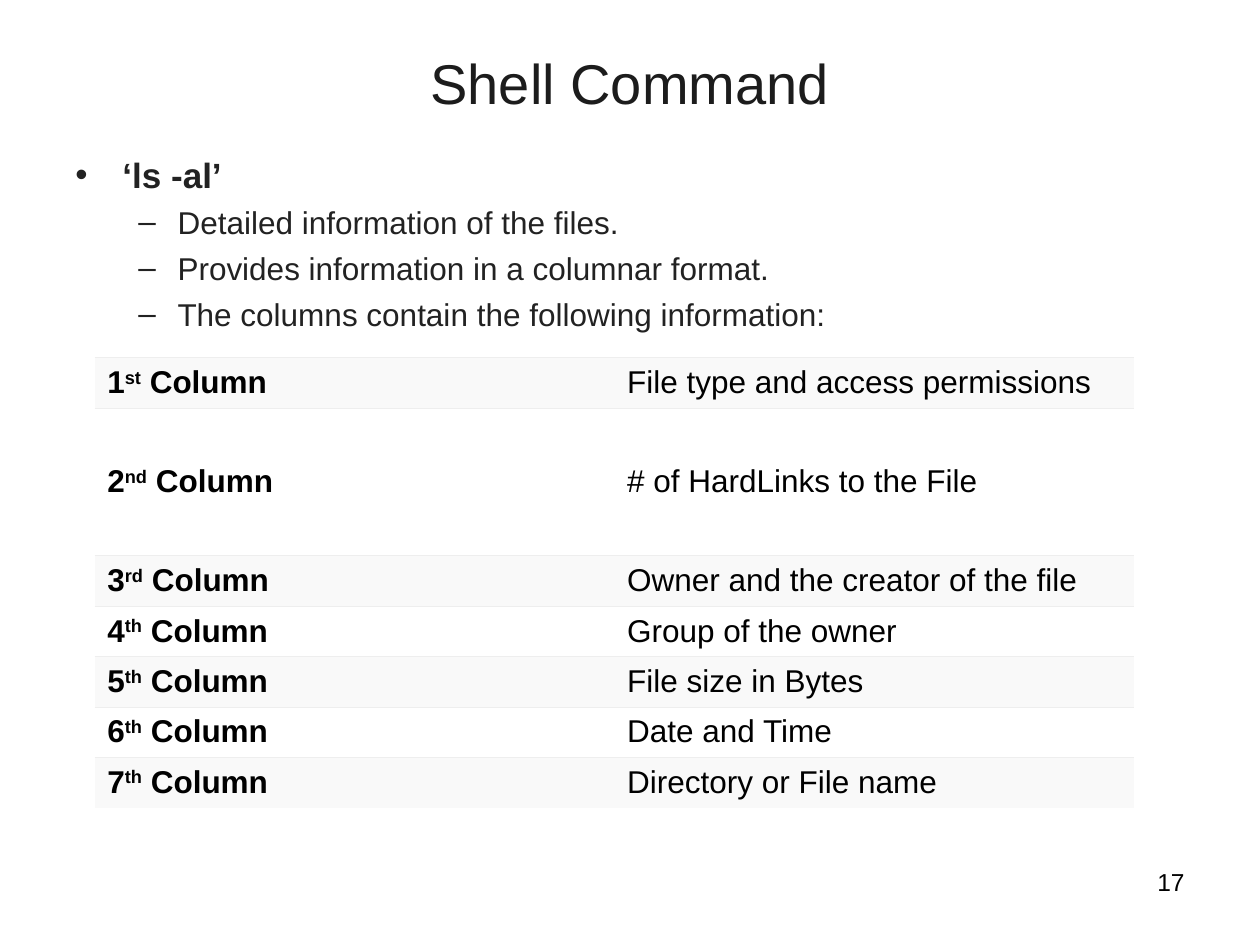
from dataclasses import dataclass

from lxml.etree import SubElement
from pptx import Presentation
from pptx.dml.color import RGBColor
from pptx.enum.text import MSO_ANCHOR, PP_ALIGN
from pptx.oxml.ns import qn
from pptx.util import Cm, Pt

FONT = "Arial"
BLACK = "000000"
BODY_COLOR = "222222"
STRIPES = ("F9F9F9", "FFFFFF")
RULE_COLOR = "EEEEEE"


@dataclass
class Bullet:
    text: str
    level: int
    mark: str
    size: float
    left: float
    hanging: float
    space_before: float
    bold: bool = False


@dataclass
class ColumnInfo:
    ordinal: str
    meaning: str
    height: float = 1.01


BULLETS = [
    Bullet("‘ls -al’ ", 0, "•", 20, 0.95, 0.95, 0, bold=True),
    *(
        Bullet(text, 1, "–", 18, 2.06, 0.79, 4.5)
        for text in (
            "Detailed information of the files.",
            "Provides information in a columnar format.",
            "The columns contain the following information:",
        )
    ),
]

COLUMNS = [
    ColumnInfo("st", "File type and access permissions"),
    ColumnInfo("nd", "# of HardLinks to the File", height=2.97),
    ColumnInfo("rd", "Owner and the creator of the file"),
    ColumnInfo("th", "Group of the owner"),
    ColumnInfo("th", "File size in Bytes"),
    ColumnInfo("th", "Date and Time"),
    ColumnInfo("th", "Directory or File name"),
]


def rgb(color: str) -> RGBColor:
    return RGBColor.from_string(color)


def style_run(run, size: float, color: str, bold: bool = False) -> None:
    run.font.name = FONT
    run.font.size = Pt(size)
    run.font.bold = bold
    run.font.color.rgb = rgb(color)


def add_title(slide, text: str) -> None:
    title = slide.shapes.title
    title.left, title.top = Cm(1.27), Cm(0.76)
    title.width, title.height = Cm(22.86), Cm(1.78)
    frame = title.text_frame
    frame.text = text
    frame.vertical_anchor = MSO_ANCHOR.MIDDLE
    frame.paragraphs[0].alignment = PP_ALIGN.CENTER
    style_run(frame.paragraphs[0].runs[0], 32, "1C1C1C")


def format_bullet(paragraph, bullet: Bullet) -> None:
    paragraph.text = bullet.text
    paragraph.level = bullet.level
    paragraph.space_before = Pt(bullet.space_before)
    style_run(paragraph.runs[0], bullet.size, BODY_COLOR, bullet.bold)
    properties = paragraph._p.get_or_add_pPr()
    properties.set("marL", str(Cm(bullet.left)))
    properties.set("indent", str(-Cm(bullet.hanging)))
    mark_color = SubElement(properties, qn("a:buClr"))
    SubElement(mark_color, qn("a:srgbClr"), val=BODY_COLOR)
    SubElement(properties, qn("a:buFont"), typeface=FONT)
    SubElement(properties, qn("a:buChar"), char=bullet.mark)


def add_bullets(slide, bullets: list[Bullet]) -> None:
    body = slide.shapes.add_textbox(Cm(1.27), Cm(2.97), Cm(22.86), Cm(14.05))
    frame = body.text_frame
    frame.word_wrap = True
    frame.margin_top = Cm(0.12)
    for index, bullet in enumerate(bullets):
        paragraph = frame.add_paragraph() if index else frame.paragraphs[0]
        format_bullet(paragraph, bullet)


def set_borders(cell, ruled_sides: str) -> None:
    """Rule the sides named by letter (L, R, T, B) and clear the others."""
    properties = cell._tc.get_or_add_tcPr()
    for side in "LRTB":
        line = SubElement(properties, qn(f"a:ln{side}"), w=str(Pt(0.23)))
        if side in ruled_sides:
            fill = SubElement(line, qn("a:solidFill"))
            SubElement(fill, qn("a:srgbClr"), val=RULE_COLOR)
        else:
            SubElement(line, qn("a:noFill"))


def fill_cell(cell, parts: list[str], color: str, ruled_sides: str, bold: bool) -> None:
    """Write the parts as runs, raising every second one as a superscript."""
    set_borders(cell, ruled_sides)
    cell.fill.solid()
    cell.fill.fore_color.rgb = rgb(color)
    cell.vertical_anchor = MSO_ANCHOR.MIDDLE
    for index, part in enumerate(parts):
        run = cell.text_frame.paragraphs[0].add_run()
        run.text = part
        style_run(run, 18, BLACK, bold)
        if index % 2:
            run._r.get_or_add_rPr().set("baseline", "30000")


def add_column_table(slide, columns: list[ColumnInfo]) -> None:
    height = sum(column.height for column in columns)
    table = slide.shapes.add_table(
        len(columns), 2, Cm(1.91), Cm(7.21), Cm(20.96), Cm(height)
    ).table
    table.first_row = table.horz_banding = False
    for index, column in enumerate(columns):
        table.rows[index].height = Cm(column.height)
        color = STRIPES[index % 2]
        ruled_sides = "T" if index == len(columns) - 1 else "TB"
        label = [str(index + 1), column.ordinal, " Column"]
        fill_cell(table.cell(index, 0), label, color, ruled_sides, bold=True)
        fill_cell(table.cell(index, 1), [column.meaning], color, ruled_sides, bold=False)


def add_page_number(slide, number: int) -> None:
    box = slide.shapes.add_textbox(Cm(18.21), Cm(17.35), Cm(5.92), Cm(1.32))
    box.text_frame.word_wrap = True
    paragraph = box.text_frame.paragraphs[0]
    paragraph.text = str(number)
    paragraph.alignment = PP_ALIGN.RIGHT
    style_run(paragraph.runs[0], 14, BLACK)


def main() -> None:
    presentation = Presentation()
    presentation.slide_width, presentation.slide_height = Cm(25.4), Cm(19.05)
    slide = presentation.slides.add_slide(presentation.slide_layouts[5])
    add_title(slide, "Shell Command")
    add_bullets(slide, BULLETS)
    add_page_number(slide, 17)
    add_column_table(slide, COLUMNS)
    presentation.save("out.pptx")


if __name__ == "__main__":
    main()
